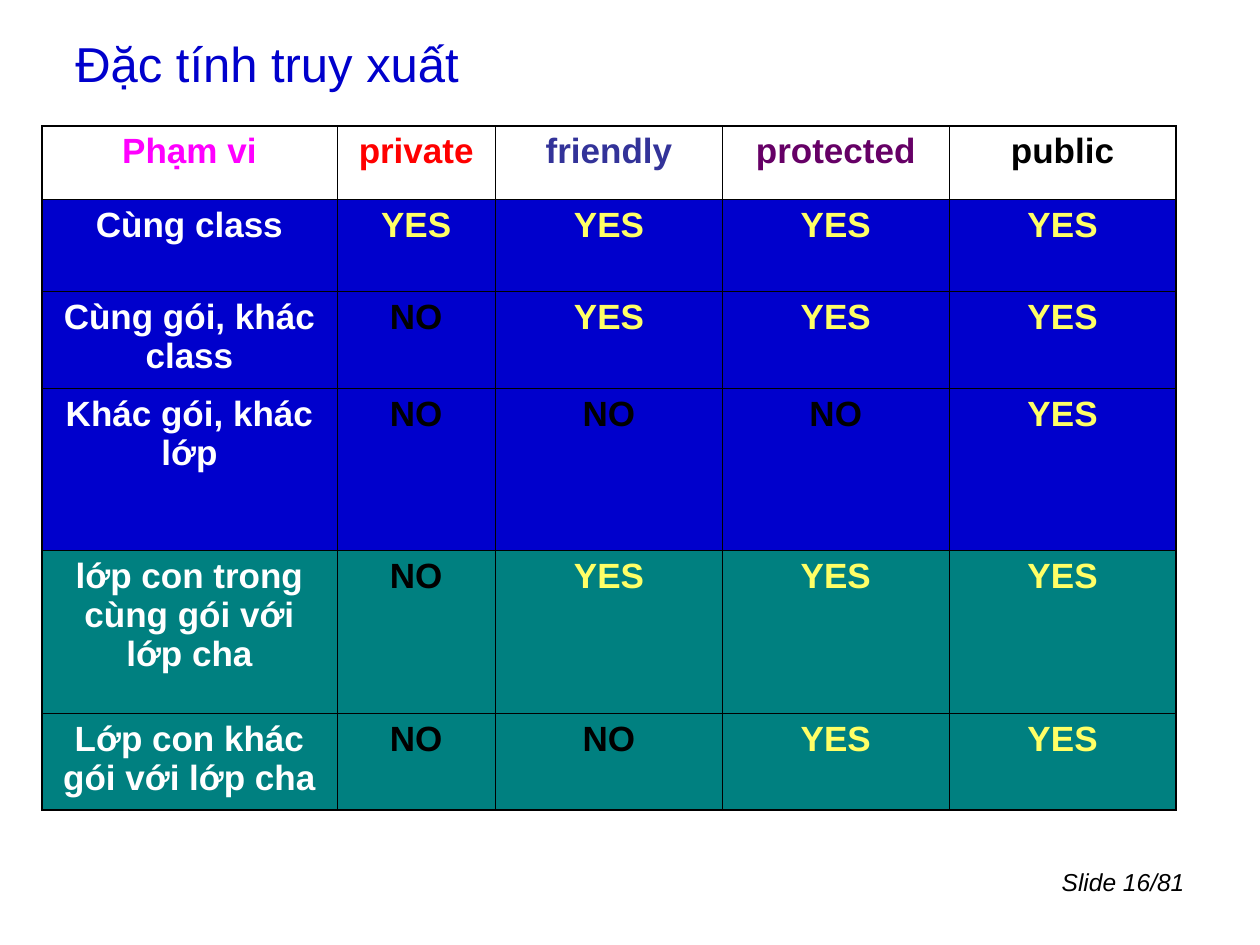
from dataclasses import dataclass

from lxml import etree
from pptx import Presentation
from pptx.dml.color import RGBColor
from pptx.enum.text import MSO_ANCHOR, PP_ALIGN
from pptx.oxml.ns import qn
from pptx.slide import Slide
from pptx.table import _Cell
from pptx.text.text import TextFrame
from pptx.util import Pt

LEFT, CENTER, RIGHT = PP_ALIGN.LEFT, PP_ALIGN.CENTER, PP_ALIGN.RIGHT
TOP, MIDDLE = MSO_ANCHOR.TOP, MSO_ANCHOR.MIDDLE


@dataclass(frozen=True)
class Theme:
    """Colours, type sizes and line widths of the slide."""
    font: str = "Arial"
    blue: str = "0000CC"
    teal: str = "008080"
    black: str = "000000"
    white: str = "FFFFFF"
    yellow: str = "FFFF66"
    pink: str = "FF00FF"
    red: str = "FF0000"
    navy: str = "333399"
    purple: str = "660066"
    title: int = 28
    body: int = 20
    foot: int = 14
    thin: float = 0.45
    thick: float = 1.08


@dataclass(frozen=True)
class Look:
    """Format of one piece of text."""
    size: int
    color: str
    align: PP_ALIGN = LEFT
    bold: bool = False
    italic: bool = False
    before: int = 0


@dataclass(frozen=True)
class Label:
    """A text box: words, place in points, look and anchor."""
    text: str
    box: tuple[float, float, float, float]
    look: Look
    anchor: MSO_ANCHOR = TOP


@dataclass(frozen=True)
class Scope:
    """A body row: name, height, fill and access per modifier."""
    name: str
    height: float
    fill: str
    access: str


THEME = Theme()
LABELS = (
    Label("Đặc tính truy xuất", (36, 18, 612, 36),
          Look(THEME.title, THEME.blue), MIDDLE),
    Label("Slide 16/81", (570, 492, 114, 37.4),
          Look(THEME.foot, THEME.black, RIGHT, italic=True)),
)
HEAD = (("Phạm vi", THEME.pink), ("private", THEME.red),
        ("friendly", THEME.navy), ("protected", THEME.purple),
        ("public", THEME.black))
SCOPES = (
    Scope("Cùng class", 52.6, THEME.blue, "YYYY"),
    Scope("Cùng gói, khác class", 55.4, THEME.blue, "NYYY"),
    Scope("Khác gói, khác lớp", 92.9, THEME.blue, "NNNY"),
    Scope("lớp con trong cùng gói với lớp cha", 92.9, THEME.teal, "NYYY"),
    Scope("Lớp con khác gói với lớp cha", 55.4, THEME.teal, "NNYY"),
)
MARKS = {"Y": ("YES", THEME.yellow), "N": ("NO", THEME.black)}
WIDTHS = (168.5, 90.7, 129.6, 129.6, 129.6)
HEIGHTS = (41.8, *(scope.height for scope in SCOPES))


def write(frame: TextFrame, text: str, look: Look) -> None:
    """Put one styled paragraph into a text frame."""
    para = frame.paragraphs[0]
    para.alignment = look.align
    para.space_before = Pt(look.before)
    run = para.add_run()
    run.text = text
    style = {"name": THEME.font, "size": Pt(look.size),
             "bold": look.bold, "italic": look.italic}
    for key, value in style.items():
        setattr(run.font, key, value)
    run.font.color.rgb = RGBColor.from_string(look.color)


def add_label(slide: Slide, label: Label) -> None:
    """Draw a text box."""
    frame = slide.shapes.add_textbox(*map(Pt, label.box)).text_frame
    frame.word_wrap = True
    frame.vertical_anchor = label.anchor
    write(frame, label.text, label.look)


def add_edge(cell: _Cell, side: str, width: float) -> None:
    """Draw one border of a cell."""
    props = cell._tc.get_or_add_tcPr()
    line = etree.SubElement(props, qn(f"a:ln{side}"), w=str(Pt(width)))
    fill = etree.SubElement(line, qn("a:solidFill"))
    etree.SubElement(fill, qn("a:srgbClr"), val=THEME.black)


def add_grid(slide: Slide) -> None:
    """Draw the access table."""
    rows, cols = len(HEIGHTS), len(WIDTHS)
    box = (24, 72, sum(WIDTHS), sum(HEIGHTS))
    table = slide.shapes.add_table(rows, cols, *map(Pt, box)).table
    table.first_row = table.horz_banding = False
    for col, width in zip(table.columns, WIDTHS):
        col.width = Pt(width)
    for row, height in zip(table.rows, HEIGHTS):
        row.height = Pt(height)

    lines = [(None, HEAD)]
    for scope in SCOPES:
        marks = (MARKS[key] for key in scope.access)
        lines.append((scope.fill, ((scope.name, THEME.white), *marks)))
    for i, (fill, items) in enumerate(lines):
        for j, (text, color) in enumerate(items):
            cell = table.cell(i, j)
            outer = {"L": j == 0, "R": j == cols - 1,
                     "T": i == 0, "B": i == rows - 1}
            for side, edge in outer.items():
                add_edge(cell, side, THEME.thick if edge else THEME.thin)
            if fill:
                cell.fill.solid()
                cell.fill.fore_color.rgb = RGBColor.from_string(fill)
            else:
                cell.fill.background()
            look = Look(THEME.body, color, CENTER, bold=True, before=5)
            write(cell.text_frame, text, look)


def main() -> None:
    """Build and save the slide."""
    deck = Presentation()
    deck.slide_width, deck.slide_height = Pt(720), Pt(540)
    slide = deck.slides.add_slide(deck.slide_layouts[6])
    for label in LABELS:
        add_label(slide, label)
    add_grid(slide)
    deck.save("out.pptx")


main()
